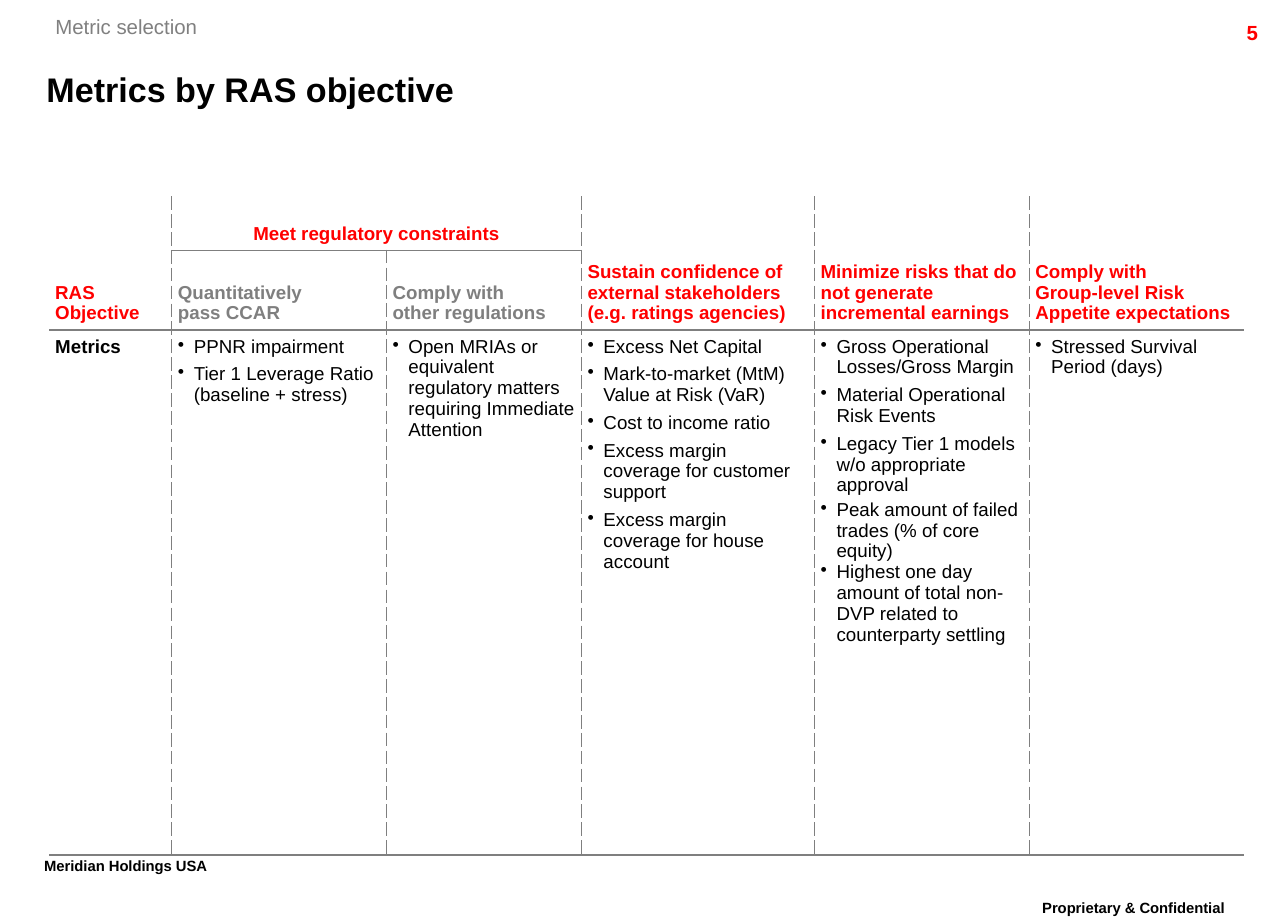
from dataclasses import dataclass
from itertools import repeat

from lxml.etree import SubElement as Sub
from pptx import Presentation
from pptx.dml.color import RGBColor as Rgb
from pptx.enum.text import MSO_ANCHOR as Anchor, PP_ALIGN as Align
from pptx.oxml.ns import qn
from pptx.util import Inches, Pt


@dataclass(frozen=True)
class Theme:
    """Hold the colours, type sizes and line style of the slide."""
    face: str = "Arial"
    red: str = "FF0000"
    black: str = "000000"
    gray: str = "7F7F7F"
    soft: str = "808080"
    title: int = 20
    foot: int = 15
    label: int = 12
    body: int = 11
    rule: float = 0.75


T = Theme()
WIDE, HIGH = Inches(10.5), Inches(7.5)
PAD = Inches(0.05)
DENT = Inches(0.13)
COLS = [1, 1.75, 1.59, 1.9, 1.75, 1.75]
ROWS = [0.44, 0.61, 4.28]
HEADS = [
    (0, 0, "RAS\vObjective", T.red),
    (0, 1, "Meet regulatory constraints", T.red),
    (0, 3, "Sustain confidence of external stakeholders (e.g. ratings agencies)", T.red),
    (0, 4, "Minimize risks that do not generate incremental earnings", T.red),
    (0, 5, "Comply with\vGroup-level Risk Appetite expectations", T.red),
    (1, 1, "Quantitatively\vpass CCAR", T.gray),
    (1, 2, "Comply with\vother regulations", T.gray),
]
METRICS = [
    ["PPNR impairment", "Tier 1 Leverage Ratio (baseline + stress)"],
    ["Open MRIAs or equivalent regulatory matters requiring Immediate Attention"],
    ["Excess Net Capital", "Mark-to-market (MtM) Value at Risk (VaR)",
     "Cost to income ratio", "Excess margin coverage for customer support",
     "Excess margin coverage for house account"],
    ["Gross Operational Losses/Gross Margin", "Material Operational Risk Events",
     "Legacy Tier 1 models w/o appropriate approval",
     "Peak amount of failed trades (% of core equity)",
     "Highest one day amount of total non-DVP related to counterparty settling"],
    ["Stressed Survival Period (days)"],
]
GAPS = {4: [4, 4, 2, 0]}


def style(para, size, color, bold=False, align=Align.LEFT):
    """Set the font and alignment of a paragraph."""
    para.alignment = align
    font = para.font
    font.name, font.size, font.bold = T.face, Pt(size), bold
    font.color.rgb = Rgb.from_string(color)


def place(left, top, width, height):
    """Turn percentages of the slide into lengths."""
    return [round(whole * part / 100) for whole, part in
            zip((WIDE, HIGH, WIDE, HIGH), (left, top, width, height))]


def label(slide, text, at, size, color, bold=True, align=Align.LEFT,
          inset=True, wrap=True, anchor=Anchor.TOP, base=0):
    """Add a one-line text box."""
    frame = slide.shapes.add_textbox(*place(*at)).text_frame
    frame.word_wrap, frame.vertical_anchor = wrap, anchor
    if not inset:
        frame.margin_left = frame.margin_right = 0
        frame.margin_top = frame.margin_bottom = 0
    para = frame.paragraphs[0]
    run = para.add_run()
    run.text = text
    style(para, size, color, bold, align)
    if base:
        run._r.get_or_add_rPr().set("baseline", str(base * 1000))


def edge(cell, side, dash):
    """Draw one cell border, or clear it when no dash is named."""
    line = Sub(cell._tc.get_or_add_tcPr(), qn(f"a:ln{side}"), w=str(Pt(T.rule)))
    if dash:
        fill = Sub(line, qn("a:solidFill"))
        Sub(fill, qn("a:srgbClr"), val=T.gray)
        Sub(line, qn("a:prstDash"), val=dash)
    else:
        Sub(line, qn("a:noFill"))


def frame(cell, row, col):
    """Give a cell its borders, margins and empty fill."""
    split = row == 1 and col in (1, 2)
    edge(cell, "L", "dash" if col and (row, col) != (0, 2) else None)
    edge(cell, "R", "dash" if col < len(COLS) - 1 else None)
    edge(cell, "T", "solid" if row == 2 or split else None)
    edge(cell, "B", "solid")
    cell.fill.background()
    cell.margin_left = cell.margin_right = PAD
    cell.margin_top = cell.margin_bottom = PAD
    cell.vertical_anchor = Anchor.TOP if row == 2 else Anchor.BOTTOM


def head(cell, text, color, align=Align.LEFT):
    """Write a bold heading in a cell."""
    para = cell.text_frame.paragraphs[0]
    para.text = text
    style(para, T.body, color, True, align)


def bullets(cell, items, gaps):
    """Write a bullet list in a cell."""
    body = cell.text_frame
    for text, gap in zip(items, [0, *gaps] if isinstance(gaps, list) else
                         [0] + [gap for gap, _ in zip(gaps, items)]):
        para = body.paragraphs[0] if text is items[0] else body.add_paragraph()
        para.text = text
        props = para._p.get_or_add_pPr()
        props.set("marL", str(DENT))
        props.set("indent", str(-DENT))
        Sub(props, qn("a:buChar"), char="•")
        style(para, T.body, T.black)
        para.space_before = Pt(gap)


def grid(slide):
    """Add the table of metrics under each objective."""
    table = slide.shapes.add_table(
        len(ROWS), len(COLS), Inches(0.4), Inches(1.6),
        Inches(sum(COLS)), Inches(sum(ROWS))).table
    table.first_row = table.horz_banding = False
    for col, width in enumerate(COLS):
        table.columns[col].width = Inches(width)
    for row, height in enumerate(ROWS):
        table.rows[row].height = Inches(height)
        for col in range(len(COLS)):
            frame(table.cell(row, col), row, col)
    table.cell(0, 1).merge(table.cell(0, 2))
    for col in (0, 3, 4, 5):
        table.cell(0, col).merge(table.cell(1, col))
    for row, col, text, color in HEADS:
        wide = (row, col) == (0, 1)
        head(table.cell(row, col), text, color,
             Align.CENTER if wide else Align.LEFT)
    head(table.cell(2, 0), "Metrics", T.black)
    for col, items in enumerate(METRICS, 1):
        bullets(table.cell(2, col), items, GAPS.get(col, repeat(4)))


def main():
    """Build and save the slide."""
    deck = Presentation()
    deck.slide_width, deck.slide_height = WIDE, HIGH
    slide = deck.slides.add_slide(deck.slide_layouts[6])
    label(slide, "Proprietary & Confidential", (77.6, 96.7, 20.8, 4.7),
          T.foot, T.black, align=Align.CENTER, base=30)
    label(slide, "Meridian Holdings USA", (2.5, 92.1, 18.2, 4.7),
          T.foot, T.black, wrap=False, base=30)
    label(slide, "5", (89.1, 1.5, 9.5, 3.2), T.label, T.red, align=Align.RIGHT)
    label(slide, "Metrics by RAS objective", (3.6, 6.5, 90.3, 6.4),
          T.title, T.black, inset=False, anchor=Anchor.MIDDLE)
    grid(slide)
    label(slide, "Metric selection", (4.3, 1.5, 11.1, 2.7),
          T.label, T.soft, bold=False, inset=False, wrap=False)
    deck.save("out.pptx")


if __name__ == "__main__":
    main()
